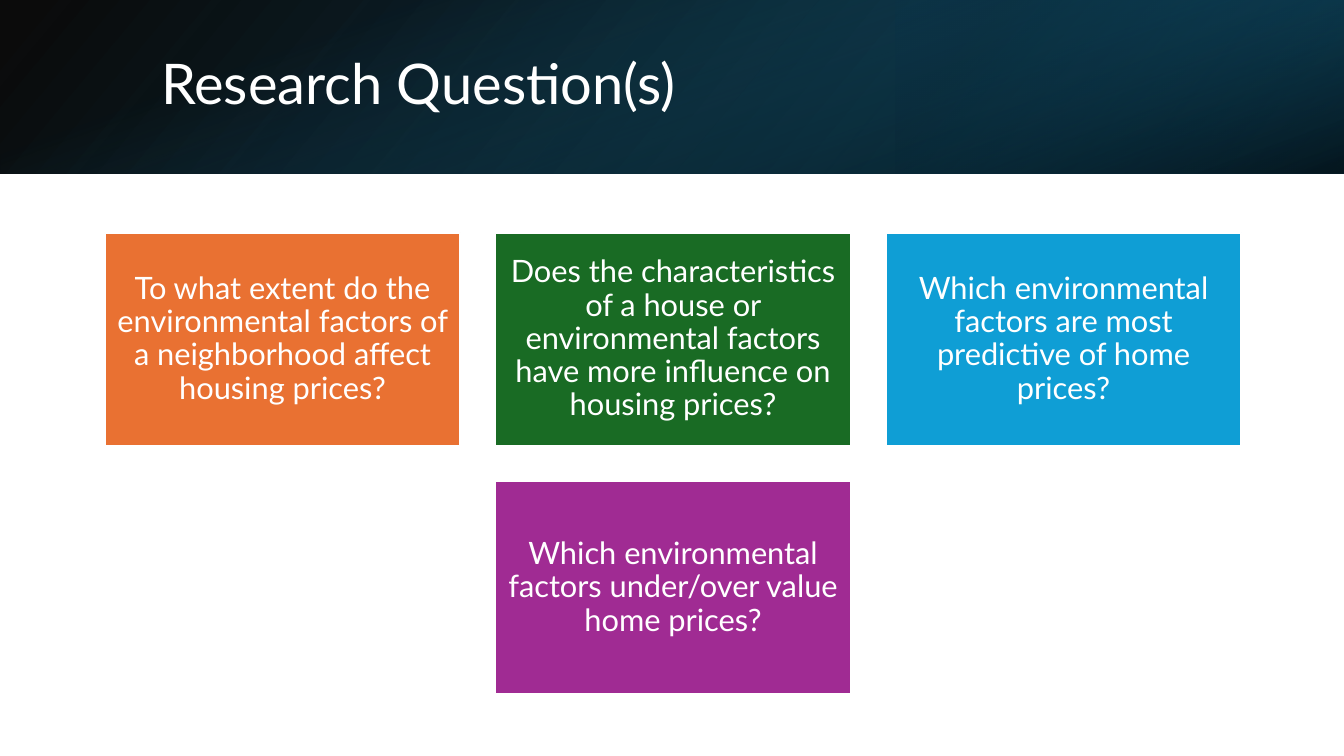
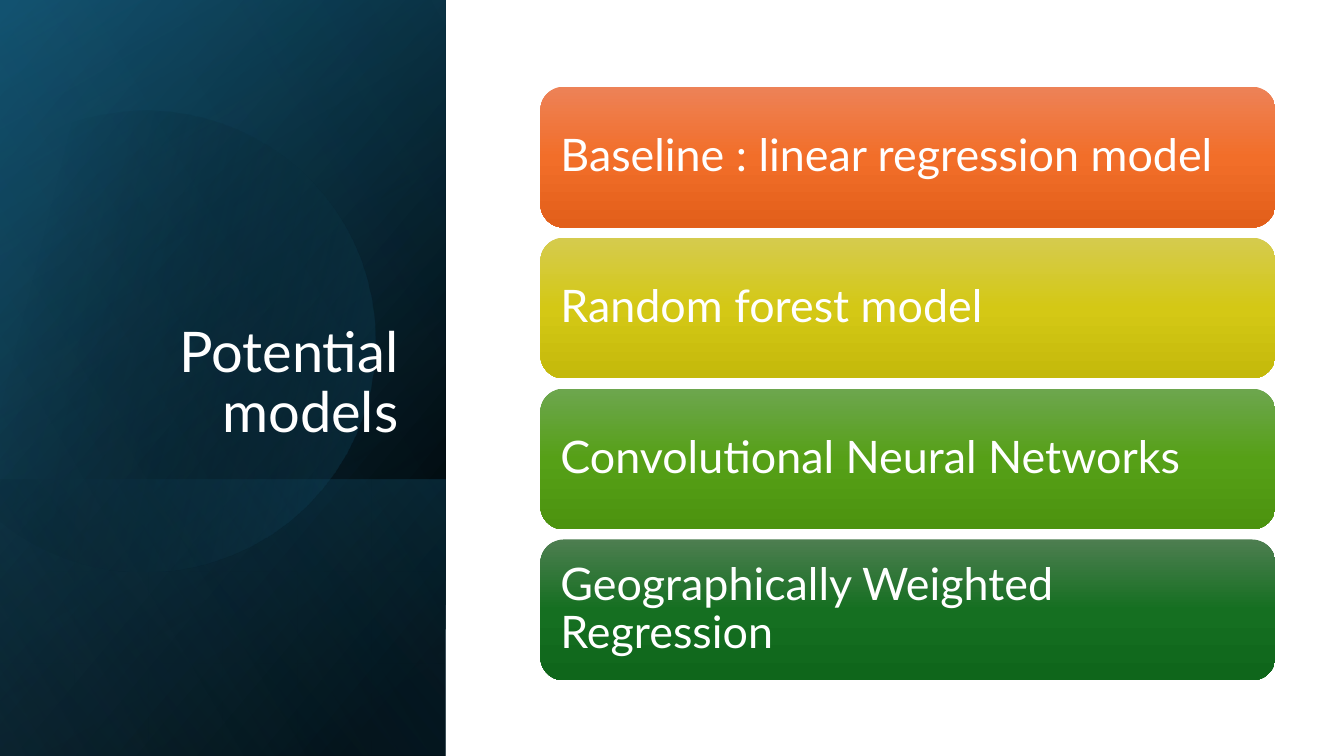
import math
from lxml import etree
from pptx import Presentation
from pptx.dml.color import RGBColor
from pptx.enum.shapes import MSO_SHAPE
from pptx.enum.text import MSO_ANCHOR, PP_ALIGN
from pptx.oxml.ns import qn
from pptx.util import Inches, Pt

RECTANGLE = MSO_SHAPE.RECTANGLE
ROUNDED = MSO_SHAPE.ROUNDED_RECTANGLE
LEFT, CENTER, RIGHT = PP_ALIGN.LEFT, PP_ALIGN.CENTER, PP_ALIGN.RIGHT
MIDDLE, BOTTOM = MSO_ANCHOR.MIDDLE, MSO_ANCHOR.BOTTOM

FONT = "Lato"
WHITE = RGBColor(0xFF, 0xFF, 0xFF)
BLACK = RGBColor(0x00, 0x00, 0x00)
NAVY = RGBColor(0x10, 0x48, 0x62)
DEEP = RGBColor(0x0B, 0x30, 0x41)
TEAL = RGBColor(0x15, 0x60, 0x82)
SKY = RGBColor(0x46, 0xB1, 0xE1)
ORANGE = RGBColor(0xE9, 0x71, 0x32)
GREEN = RGBColor(0x19, 0x6B, 0x24)
BLUE = RGBColor(0x0F, 0x9E, 0xD5)
PURPLE = RGBColor(0xA0, 0x2B, 0x93)
ORANGE_SHADES = (RGBColor(0xED, 0x82, 0x57), RGBColor(0xF2, 0x6E, 0x29), RGBColor(0xE2, 0x5F, 0x1A))
YELLOW_SHADES = (RGBColor(0xD5, 0xCB, 0x4E), RGBColor(0xD4, 0xC8, 0x15), RGBColor(0xC4, 0xB9, 0x0B))
LIME_SHADES = (RGBColor(0x6D, 0xA6, 0x4E), RGBColor(0x56, 0xA0, 0x17), RGBColor(0x4C, 0x93, 0x0F))
GREEN_SHADES = (RGBColor(0x4D, 0x7E, 0x50), RGBColor(0x15, 0x6F, 0x21), RGBColor(0x0F, 0x66, 0x1B))

QUESTIONS = [
    [("To what extent do the environmental factors of a neighborhood affect housing prices?", ORANGE),
     ("Does the characteristics of a house or environmental factors have more influence on housing prices?", GREEN),
     ("Which environmental factors are most predictive of home prices?", BLUE)],
    [("Which environmental factors under/over value home prices?", PURPLE)],
]
MODELS = [
    ("Baseline : linear regression model", ORANGE_SHADES),
    ("Random forest model", YELLOW_SHADES),
    ("Convolutional Neural Networks", LIME_SHADES),
    ("Geographically Weighted Regression", GREEN_SHADES),
]
CIRCLE_START = (1.49, 1.1)
CIRCLE_CURVES = [
    [(2.46, 1.12), (3.35, 1.77), (3.63, 2.75)],
    [(3.98, 3.97), (3.28, 5.23), (2.07, 5.58)],
    [(1.31, 5.8), (0.53, 5.61), (-0.03, 5.14)],
    [(-0.15, 5.03)],
    [(-0.15, 1.75)],
    [(0, 1.61)],
    [(0.23, 1.42), (0.5, 1.28), (0.8, 1.19)],
    [(1.03, 1.13), (1.26, 1.1), (1.49, 1.1)],
]


def fill_gradient(shape, stops, angle):
    shape.fill.background()
    properties = shape.element.spPr
    gradient = etree.Element(qn("a:gradFill"), rotWithShape="1")
    stop_list = etree.SubElement(gradient, qn("a:gsLst"))
    for position, color, opacity in stops:
        stop = etree.SubElement(stop_list, qn("a:gs"), pos=str(position * 1000))
        tone = etree.SubElement(stop, qn("a:srgbClr"), val=str(color))
        if opacity < 100:
            etree.SubElement(tone, qn("a:alpha"), val=str(opacity * 1000))
    etree.SubElement(gradient, qn("a:lin"), ang=str(angle * 60000), scaled="0")
    properties.replace(properties.find(qn("a:noFill")), gradient)


def add_box(page, box, kind=RECTANGLE):
    shape = page.shapes.add_shape(kind, *(Inches(length) for length in box))
    shape.shadow.inherit = False
    shape.line.fill.background()
    return shape


def add_layer(page, box, stops, angle, rotation=0, flip=True):
    layer = add_box(page, box)
    fill_gradient(layer, stops, angle)
    layer.rotation = rotation
    if flip:
        layer.element.spPr.xfrm.set("flipH", "1")


def write(shape, text, size, align, anchor, insets):
    frame = shape.text_frame
    frame.word_wrap = True
    frame.vertical_anchor = anchor
    frame.margin_left = frame.margin_right = Inches(insets[0])
    frame.margin_top = frame.margin_bottom = Inches(insets[1])
    frame.text = text
    para = frame.paragraphs[0]
    para.alignment = align
    para.line_spacing = 0.9
    font = para.runs[0].font
    font.name, font.size, font.color.rgb = FONT, Pt(size), WHITE


def add_title(page, box, text, align, anchor):
    title = page.shapes.add_textbox(*(Inches(length) for length in box))
    write(title, text, 40, align, anchor, (0.1, 0.05))


def curve_points(start, curves, steps=16):
    points = [start]
    for curve in curves:
        if len(curve) == 1:
            points += curve
            continue
        controls = [points[-1]] + curve
        for step in range(1, steps + 1):
            t = step / steps
            weights = [math.comb(3, i) * t ** i * (1 - t) ** (3 - i) for i in range(4)]
            points.append(tuple(sum(w * c[axis] for w, c in zip(weights, controls))
                                for axis in (0, 1)))
    return points


def add_circle(page, box, rotation):
    left, top, width, height = box
    center_x, center_y = left + width / 2, top + height / 2
    cos, sin = math.cos(math.radians(-rotation)), math.sin(math.radians(-rotation))
    outline = []
    for x, y in curve_points(CIRCLE_START, CIRCLE_CURVES):
        dx, dy = x - center_x, y - center_y
        outline.append((Inches(center_x + dx * cos - dy * sin),
                        Inches(center_y + dx * sin + dy * cos)))
    builder = page.shapes.build_freeform(*outline[0])
    builder.add_line_segments(outline[1:])
    circle = builder.convert_to_shape()
    circle.shadow.inherit = False
    circle.line.fill.background()
    circle.rotation = rotation
    fill_gradient(circle, [(29, BLACK, 0), (100, TEAL, 43)], 30)


def add_top_band(page, width, height):
    third = width / 3
    add_layer(page, (0, 0, width, height), [(0, BLACK, 96), (100, NAVY, 100)], 140)
    add_layer(page, (width - third, 0, third, height),
              [(19, DEEP, 68), (100, TEAL, 79)], 320, rotation=180)
    add_layer(page, ((width - height) / 2, (height - width) / 2, height, width),
              [(23, TEAL, 0), (99, BLACK, 74)], 340, rotation=90, flip=False)


def add_side_panel(page, width, height):
    turned = ((width - height) / 2, (height - width) / 2, height, width)
    foot = 2.74
    add_layer(page, turned, [(8, BLACK, 100), (100, NAVY, 100)], 50, 90)
    add_layer(page, turned, [(0, BLACK, 0), (99, TEAL, 46)], 30, 90)
    add_layer(page, ((width - foot) / 2, height - (foot + width) / 2, foot, width),
              [(2, TEAL, 29), (100, BLACK, 30)], 130, 90)
    add_circle(page, (-0.55, 1.06, 4.27, 4.57), 343.9)
    add_layer(page, turned, [(0, BLACK, 0), (99, SKY, 11)], 120, 90)


def add_question_grid(page, box):
    left, top, width, height = box
    gap = 0.35
    card_width, card_height = (width - 2 * gap) / 3, (height - gap) / 2
    for row, cards in enumerate(QUESTIONS):
        row_width = len(cards) * (card_width + gap) - gap
        row_left = left + (width - row_width) / 2
        for column, (text, color) in enumerate(cards):
            card = add_box(page, (row_left + column * (card_width + gap),
                                  top + row * (card_height + gap), card_width, card_height))
            card.fill.solid()
            card.fill.fore_color.rgb = color
            card.line.color.rgb = WHITE
            card.line.width = Pt(1.5)
            write(card, text, 22, CENTER, MIDDLE, (0.09, 0.09))


def add_model_list(page, box):
    left, top, width, height = box
    gap = 0.1
    bar_height = (height + gap) / len(MODELS) - gap
    for row, (text, shades) in enumerate(MODELS):
        bar = add_box(page, (left, top + row * (bar_height + gap), width, bar_height), ROUNDED)
        stops = [(position, shade, 100) for position, shade in zip((0, 50, 100), shades)]
        fill_gradient(bar, stops, 90)
        write(bar, text, 32, LEFT, MIDDLE, (0.13, 0.13))


def add_questions_slide(deck, layout):
    page = deck.slides.add_slide(layout)
    add_top_band(page, 13.33, 1.72)
    add_title(page, (1.5, 0.38, 10.98, 0.96), "Research Question(s)", LEFT, MIDDLE)
    add_question_grid(page, (1.04, 2.31, 11.27, 4.58))


def add_models_slide(deck, layout):
    page = deck.slides.add_slide(layout)
    add_side_panel(page, 4.42, 7.5)
    add_title(page, (0.64, 1.84, 3.41, 2.62), "Potential models", RIGHT, BOTTOM)
    add_model_list(page, (5.36, 0.86, 7.29, 5.89))


def main():
    deck = Presentation()
    deck.slide_width, deck.slide_height = Inches(13.33), Inches(7.5)
    blank = deck.slide_layouts[6]
    add_questions_slide(deck, blank)
    add_models_slide(deck, blank)
    deck.save("out.pptx")


if __name__ == "__main__":
    main()
